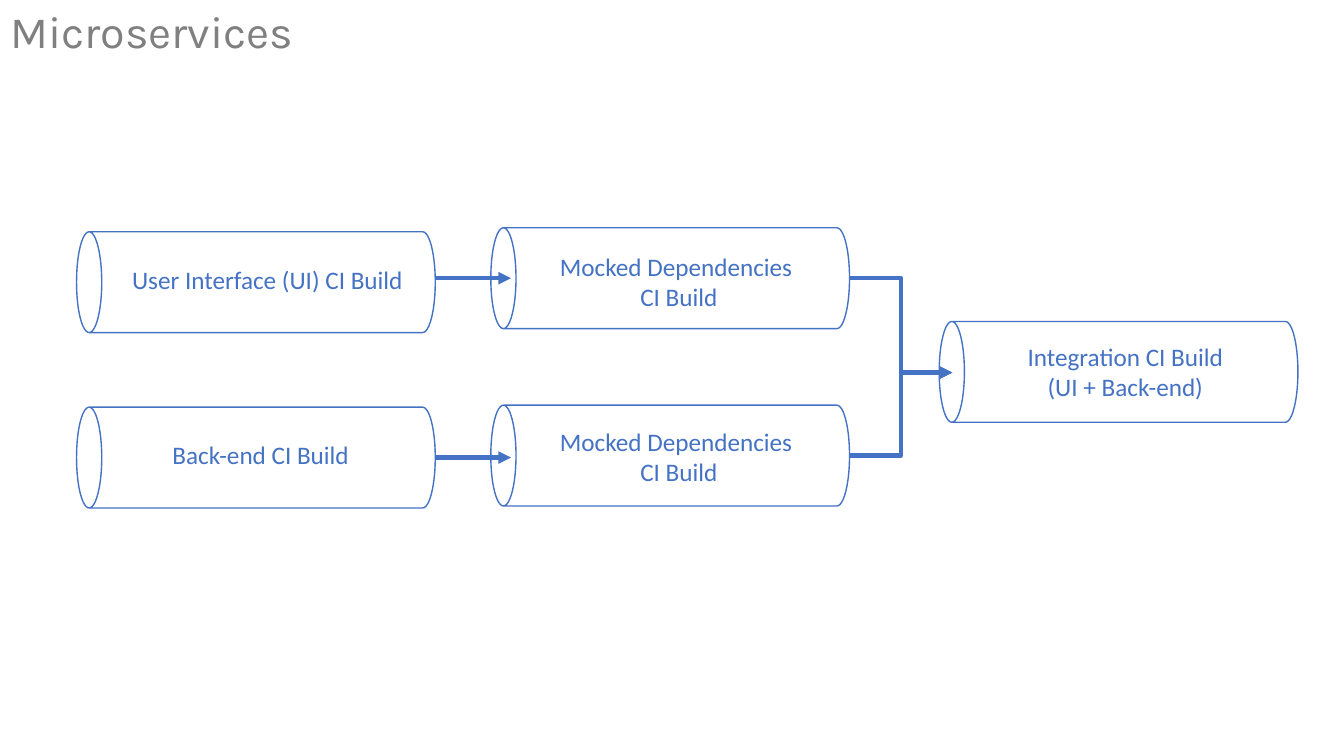
from lxml import etree
from pptx import Presentation
from pptx.dml.color import RGBColor
from pptx.enum.shapes import MSO_CONNECTOR, MSO_SHAPE
from pptx.enum.text import MSO_ANCHOR, MSO_AUTO_SIZE, PP_ALIGN
from pptx.oxml.ns import qn
from pptx.util import Cm, Pt

BLUE = RGBColor(0x44, 0x72, 0xC4)
GREY = RGBColor(0x80, 0x80, 0x80)
WHITE = RGBColor(0xFF, 0xFF, 0xFF)

TITLE = "Microservices"
SLIDE_WIDTH, SLIDE_HEIGHT = 33.87, 19.05
PIPE_LENGTH, PIPE_THICKNESS = 9.04, 2.54

# Centimetres: text, pipe centre (x, y), label centre x, label top, label width
BUILDS = {
    "ui": ("User Interface (UI) CI Build", (6.45, 7.11), 6.74, 6.53, 7.39),
    "ui mock": ("Mocked Dependencies \vCI Build", (16.89, 7.01), 17.11, 6.2, 6.58),
    "back-end": ("Back-end CI Build", (6.45, 11.53), 6.57, 10.95, 7.39),
    "back-end mock": ("Mocked Dependencies \vCI Build", (16.89, 11.48), 17.11, 10.62, 6.98),
    "integration": ("Integration CI Build\v(UI + Back-end)", (28.19, 9.37), 28.36, 8.48, 7.39),
}
# Source build, connector kind, start y, end (x, y)
ARROWS = [
    ("ui", MSO_CONNECTOR.STRAIGHT, 7.01, (12.88, 7.01)),
    ("ui mock", MSO_CONNECTOR.ELBOW, 7.01, (24, 9.39)),
    ("back-end mock", MSO_CONNECTOR.ELBOW, 11.48, (24, 9.39)),
    ("back-end", MSO_CONNECTOR.STRAIGHT, 11.53, (12.88, 11.53)),
]


def format_runs(paragraph, font_name, size, color):
    for run in paragraph.runs:
        run.font.name = font_name
        run.font.size = Pt(size)
        run.font.color.rgb = color


def add_title(slide):
    title = slide.shapes.title
    title.left, title.top = Cm(0), Cm(0)
    title.width, title.height = Cm(SLIDE_WIDTH), Cm(1.7)
    title.text_frame.text = TITLE
    title.text_frame.vertical_anchor = MSO_ANCHOR.MIDDLE
    paragraph = title.text_frame.paragraphs[0]
    paragraph.alignment = PP_ALIGN.LEFT
    paragraph.line_spacing = 0.9
    format_runs(paragraph, "Karla", 32, GREY)


def add_pipe(slide, center_x, center_y):
    """Add an upright can turned on its side around its centre."""
    pipe = slide.shapes.add_shape(
        MSO_SHAPE.CAN,
        Cm(center_x - PIPE_THICKNESS / 2), Cm(center_y - PIPE_LENGTH / 2),
        Cm(PIPE_THICKNESS), Cm(PIPE_LENGTH))
    pipe.rotation = 270
    pipe.shadow.inherit = False
    pipe.fill.solid()
    pipe.fill.fore_color.rgb = WHITE
    pipe.line.color.rgb = BLUE
    pipe.line.width = Pt(1)


def add_label(slide, text, center_x, top, width):
    height = 1.8 if "\v" in text else 1.02
    label = slide.shapes.add_textbox(
        Cm(center_x - width / 2), Cm(top), Cm(width), Cm(height))
    label.text_frame.word_wrap = True
    label.text_frame.auto_size = MSO_AUTO_SIZE.SHAPE_TO_FIT_TEXT
    label.text_frame.text = text
    paragraph = label.text_frame.paragraphs[0]
    paragraph.alignment = PP_ALIGN.CENTER
    format_runs(paragraph, "Calibri", 18, BLUE)


def add_arrow(slide, kind, start, end):
    arrow = slide.shapes.add_connector(kind, *map(Cm, start + end))
    arrow.line.color.rgb = BLUE
    arrow.line.width = Pt(3)
    properties = arrow.element.spPr
    etree.SubElement(properties.find(qn("a:ln")), qn("a:tailEnd"), type="triangle")
    etree.SubElement(properties, qn("a:effectLst"))


def main():
    presentation = Presentation()
    presentation.slide_width = Cm(SLIDE_WIDTH)
    presentation.slide_height = Cm(SLIDE_HEIGHT)
    slide = presentation.slides.add_slide(presentation.slide_layouts[5])
    add_title(slide)
    for text, center, label_x, label_top, label_width in BUILDS.values():
        add_pipe(slide, *center)
        add_label(slide, text, label_x, label_top, label_width)
    for source, kind, start_y, end in ARROWS:
        center_x = BUILDS[source][1][0]
        add_arrow(slide, kind, (center_x + PIPE_LENGTH / 2, start_y), end)
    presentation.save("out.pptx")


if __name__ == "__main__":
    main()
